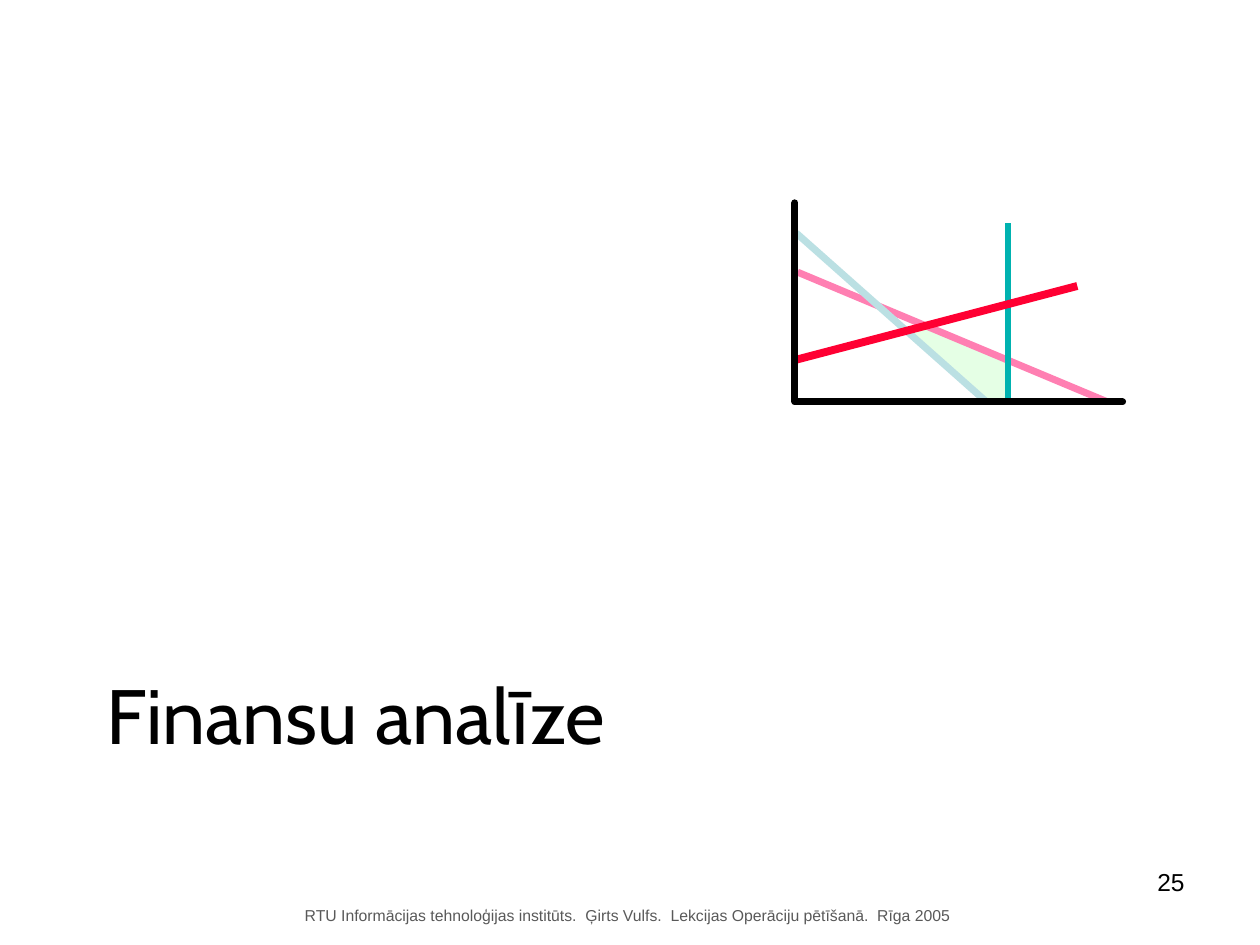
from dataclasses import dataclass

from lxml import etree
from pptx import Presentation
from pptx.dml.color import RGBColor
from pptx.enum.shapes import MSO_CONNECTOR
from pptx.enum.text import MSO_ANCHOR, MSO_AUTO_SIZE, PP_ALIGN
from pptx.oxml.ns import qn
from pptx.util import Inches, Pt

STRAIGHT = MSO_CONNECTOR.STRAIGHT
TOP, MIDDLE = MSO_ANCHOR.TOP, MSO_ANCHOR.MIDDLE
LEFT, RIGHT = PP_ALIGN.LEFT, PP_ALIGN.RIGHT
GROW = MSO_AUTO_SIZE.SHAPE_TO_FIT_TEXT


@dataclass(frozen=True)
class Theme:
    title_font: str = "Cabin"
    body_font: str = "Arial"
    title_size: float = 44
    number_size: float = 14
    footer_size: float = 9
    ink: str = "000000"
    footer: str = "595959"
    region: str = "E5FFE5"
    pink: str = "FF7FB2"
    teal: str = "00B2B0"
    pale_blue: str = "BBE0E3"
    red: str = "FF0033"
    line_width: float = 4
    objective_width: float = 4.5


THEME = Theme()


def rgb(value):
    return RGBColor.from_string(value)


def add_text(slide, text, box, font, size, color, align=LEFT, anchor=TOP, wrap=True):
    label = slide.shapes.add_textbox(*map(Inches, box))
    frame = label.text_frame
    frame.word_wrap = wrap
    frame.vertical_anchor = anchor
    if not wrap:
        frame.auto_size = GROW
    paragraph = frame.paragraphs[0]
    paragraph.text = text
    paragraph.alignment = align
    paragraph.font.name = font
    paragraph.font.size = Pt(size)
    paragraph.font.color.rgb = rgb(color)


def add_line(slide, start, end, color, width=THEME.line_width):
    line = slide.shapes.add_connector(STRAIGHT, *map(Inches, start + end))
    line.line.color.rgb = rgb(color)
    line.line.width = Pt(width)
    etree.SubElement(line.element.spPr, qn("a:effectLst"))


def add_outline(slide, points, closed):
    corners = [(Inches(x), Inches(y)) for x, y in points]
    builder = slide.shapes.build_freeform(*corners[0])
    builder.add_line_segments(corners[1:], close=closed)
    outline = builder.convert_to_shape()
    outline.shadow.inherit = False
    return outline


def add_feasible_region(slide, points):
    region = add_outline(slide, points, closed=True)
    region.fill.solid()
    region.fill.fore_color.rgb = rgb(THEME.region)
    region.line.fill.background()


def add_axes(slide, points):
    axes = add_outline(slide, points, closed=False)
    axes.fill.background()
    axes.line.color.rgb = rgb(THEME.ink)
    axes.line.width = Pt(THEME.line_width)
    # Rounded ends and corner
    stroke = axes.element.spPr.find(qn("a:ln"))
    stroke.set("cap", "rnd")
    etree.SubElement(stroke, qn("a:round"))


def add_constraint_graph(slide):
    add_feasible_region(slide, [(7.19, 2.62), (7.34, 2.58), (8, 2.86),
                                (8.01, 3.19), (7.83, 3.18)])
    # Constraints
    add_line(slide, (6.33, 2.16), (8.79, 3.19), THEME.pink)
    add_line(slide, (8, 3.17), (8, 1.77), THEME.teal)
    add_line(slide, (6.32, 1.85), (7.83, 3.19), THEME.pale_blue)
    add_line(slide, (6.3, 2.86), (8.55, 2.27), THEME.red, THEME.objective_width)
    add_axes(slide, [(6.31, 1.61), (6.31, 3.19), (8.91, 3.19)])


def main():
    deck = Presentation()
    deck.slide_width, deck.slide_height = Inches(10), Inches(7.5)
    slide = deck.slides.add_slide(deck.slide_layouts[6])

    # Footer
    add_text(slide, "RTU Informācijas tehnoloģijas institūts.  Ģirts Vulfs.  "
             "Lekcijas Operāciju pētīšanā.  Rīga 2005", (2.32, 7.14, 5.33, 0.25),
             THEME.body_font, THEME.footer_size, THEME.footer, wrap=False)
    # Title
    add_text(slide, "Finansu analīze", (0.75, 4.75, 8.5, 1.83),
             THEME.title_font, THEME.title_size, THEME.ink, anchor=MIDDLE)
    add_constraint_graph(slide)
    # Slide number
    add_text(slide, "25", (8.7, 6.83, 0.8, 0.52),
             THEME.body_font, THEME.number_size, THEME.ink, align=RIGHT)

    deck.save("out.pptx")


if __name__ == "__main__":
    main()
